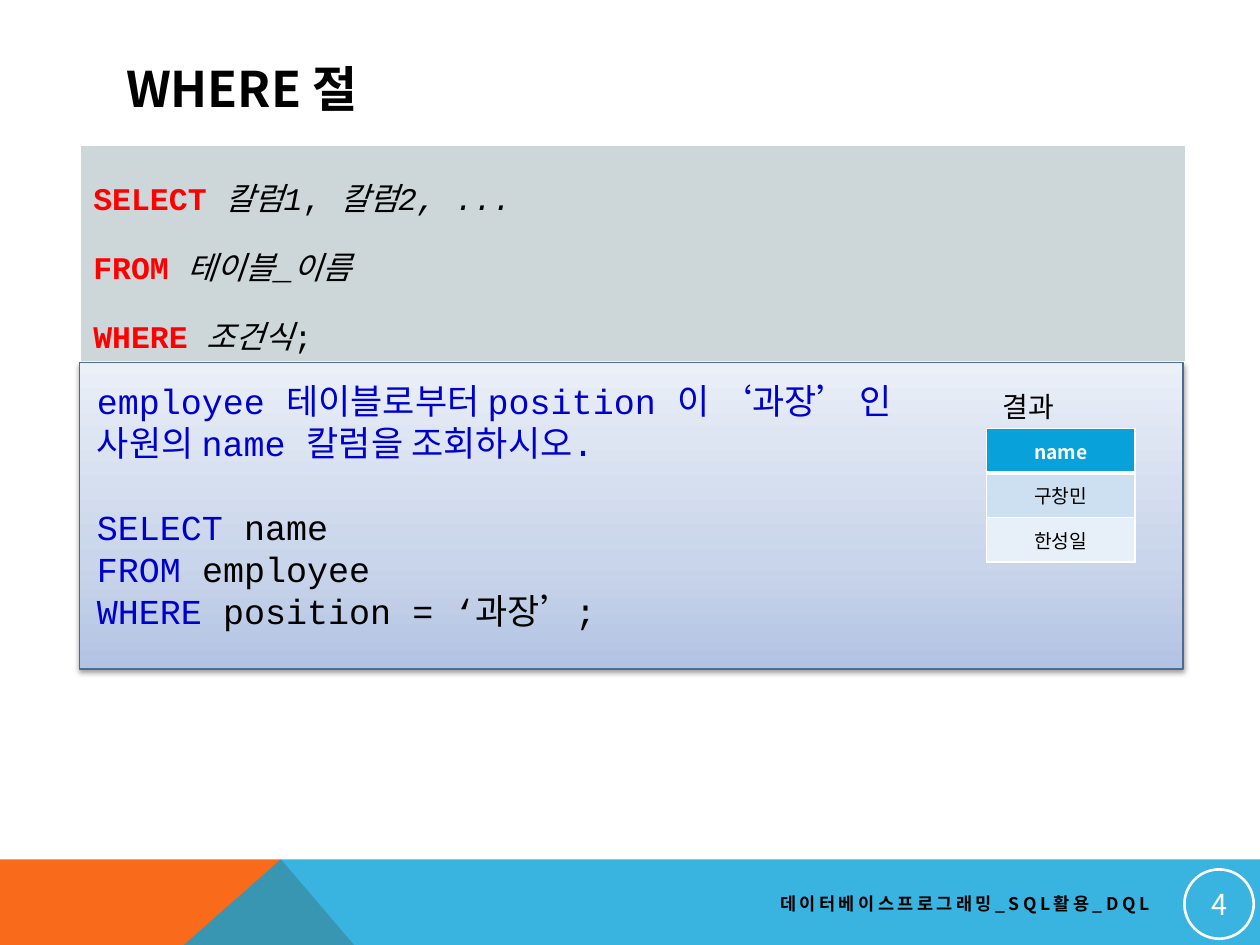
"""Build the slide that explains the SQL WHERE clause."""
import copy
import dataclasses

import lxml.etree
import pptx
import pptx.dml.color
import pptx.enum.shapes
import pptx.enum.text
import pptx.oxml.ns
import pptx.util

Inches = pptx.util.Inches
Pt = pptx.util.Pt
Align = pptx.enum.text.PP_ALIGN
Anchor = pptx.enum.text.MSO_ANCHOR


@dataclasses.dataclass(frozen=True)
class Theme:
    sans: str = "Noto Sans CJK KR"
    mono: str = "Courier New"
    black: str = "000000"
    white: str = "FFFFFF"
    keyword: str = "FF0000"
    query: str = "0000CD"
    orange: str = "F96A1B"
    blue: str = "08A1D9"
    syntax_fill: str = "CDD7D9"
    row_fills: tuple = ("08A1D9", "CCE0F1", "E7F0F8")
    panel_stops: tuple = ((0, "B2C3E3"), (0.35, "C9D5EA"), (1, "EAEFF8"))
    panel_line: str = "4D6B92"
    title_size: float = 28
    query_size: float = 20
    syntax_size: float = 18
    number_size: float = 16.5
    label_size: float = 16
    cell_size: float = 11
    footer_size: float = 10


THEME = Theme()


def rgb(value):
    return pptx.dml.color.RGBColor.from_string(value)


def add_xml(parent, tag, **attributes):
    values = {name: str(value) for name, value in attributes.items()}
    return lxml.etree.SubElement(parent, pptx.oxml.ns.qn(tag), values)


def write(para, text, size, color=THEME.black, font=THEME.sans,
          bold=False, italic=False, spacing=0):
    span = para.add_run()
    span.text = text
    span.font.size = Pt(size)
    span.font.name = font
    span.font.bold = bold
    span.font.italic = italic
    span.font.color.rgb = rgb(color)
    properties = span.font._element
    add_xml(properties, "a:ea", typeface=THEME.sans)
    if spacing:
        properties.set("spc", str(spacing * 100))


def add_text(page, place, wrap=True, anchor=Anchor.TOP):
    box = page.shapes.add_textbox(*map(Inches, place))
    box.text_frame.word_wrap = wrap
    box.text_frame.vertical_anchor = anchor
    return box.text_frame


def paragraphs(frame, count):
    return [frame.paragraphs[0]] + [frame.add_paragraph() for _ in range(count - 1)]


def add_band(page, points, color, alpha=100):
    start, *others = [(Inches(x), Inches(y)) for x, y in points]
    builder = page.shapes.build_freeform(*start)
    builder.add_line_segments(others, close=True)
    band = builder.convert_to_shape()
    band.shadow.inherit = False
    band.line.fill.background()
    band.fill.solid()
    band.fill.fore_color.rgb = rgb(color)
    if alpha < 100:
        fill_color = band._element.spPr.find(".//" + pptx.oxml.ns.qn("a:srgbClr"))
        add_xml(fill_color, "a:alpha", val=alpha * 1000)


def add_table(page, place, row_count):
    table = page.shapes.add_table(row_count, 1, *map(Inches, place)).table
    table.first_row = table.horz_banding = False
    return table


def format_cell(cell, fill, bottom=1):
    properties = cell._tc.get_or_add_tcPr()
    for side, width in (("L", 1), ("R", 1), ("T", 1), ("B", bottom)):
        line = add_xml(properties, "a:ln" + side, w=Pt(width))
        add_xml(add_xml(line, "a:solidFill"), "a:srgbClr", val=THEME.white)
    cell.fill.solid()
    cell.fill.fore_color.rgb = rgb(fill)


def add_title(page):
    title = page.shapes.title
    title.left, title.top, title.width, title.height = map(Inches, (0.9, 0.4, 8.22, 0.6))
    title.text_frame.vertical_anchor = Anchor.MIDDLE
    para = title.text_frame.paragraphs[0]
    para.alignment = Align.LEFT
    write(para, "WHERE 절", THEME.title_size, bold=True)


def add_footer(page):
    top, bottom, peak = 6.82, 7.5, 2.23
    add_band(page, [(0, bottom), (0, top), (peak, top), (2.81, bottom)], THEME.orange)
    add_band(page, [(1.46, bottom), (peak, top), (10, top), (10, bottom)], THEME.blue, 80)

    frame = add_text(page, (3.58, 7.02, 5.64, 0.3), anchor=Anchor.MIDDLE)
    frame.paragraphs[0].alignment = Align.RIGHT
    write(frame.paragraphs[0], "데이터베이스프로그래밍_SQL활용_DQL",
          THEME.footer_size, bold=True, spacing=2)

    badge = page.shapes.add_shape(pptx.enum.shapes.MSO_SHAPE.OVAL,
                                  *map(Inches, (9.4, 6.9, 0.55, 0.55)))
    badge.shadow.inherit = False
    badge.fill.background()
    badge.line.color.rgb = rgb(THEME.white)
    badge.line.width = Pt(1.5)
    frame = badge.text_frame
    frame.margin_left = frame.margin_right = Inches(0.01)
    frame.margin_top = frame.margin_bottom = Inches(0.01)
    frame.vertical_anchor = Anchor.MIDDLE
    frame.paragraphs[0].alignment = Align.CENTER
    write(frame.paragraphs[0], "4", THEME.number_size, THEME.white)


def add_syntax(page):
    cell = add_table(page, (0.64, 1.15, 8.77, 1.73), 1).cell(0, 0)
    format_cell(cell, THEME.syntax_fill, bottom=3)
    clauses = [
        ("SELECT ", [("칼럼1", True), (",\u00a0", False), ("칼럼2, ...", True)]),
        ("FROM ", [("테이블_이름", True)]),
        ("WHERE ", [("조건식", True), (";", False)]),
    ]
    style = {"size": THEME.syntax_size, "font": THEME.mono}
    for para, (keyword, parts) in zip(paragraphs(cell.text_frame, len(clauses)), clauses):
        para.line_spacing = 1.5
        write(para, keyword, color=THEME.keyword, bold=True, **style)
        for text, italic in parts:
            write(para, text, italic=italic, **style)


def add_panel(page):
    panel = page.shapes.add_shape(pptx.enum.shapes.MSO_SHAPE.RECTANGLE,
                                  *map(Inches, (0.63, 2.88, 8.76, 2.43)))
    panel.line.color.rgb = rgb(THEME.panel_line)
    panel.line.width = Pt(0.75)
    panel.fill.gradient()
    panel.fill.gradient_angle = 90
    stop_list = panel._element.spPr.find(".//" + pptx.oxml.ns.qn("a:gsLst"))
    stop_list.append(copy.deepcopy(stop_list[-1]))
    for stop, (position, color) in zip(panel.fill.gradient_stops, THEME.panel_stops):
        stop.position = position
        stop.color.rgb = rgb(color)
    panel.shadow.inherit = False
    effects = panel._element.spPr.find(pptx.oxml.ns.qn("a:effectLst"))
    shadow = add_xml(effects, "a:outerShdw", blurRad=Pt(3.1), dist=Pt(1.6),
                     dir=90 * 60000, rotWithShape=0)
    add_xml(add_xml(shadow, "a:srgbClr", val=THEME.black), "a:alpha", val=38000)


def add_query(page):
    frame = add_text(page, (0.67, 2.96, 6.92, 2.12))
    lines = [
        ("employee 테이블로부터 position 이 ‘과장’ 인 사원의 name 칼럼을 조회하시오.", ""),
        ("SELECT", "\u00a0name"),
        ("FROM", " employee"),
        ("WHERE", " position = ‘과장’;"),
    ]
    style = {"size": THEME.query_size, "font": THEME.mono}
    paras = paragraphs(frame, len(lines))
    for para, (lead, rest) in zip(paras, lines):
        para.line_spacing = Pt(24)
        write(para, lead, color=THEME.query, **style)
        if rest:
            write(para, rest, **style)
    paras[0].space_after = Pt(24)


def add_result(page):
    frame = add_text(page, (7.86, 3.04, 0.73, 0.37), wrap=False)
    write(frame.paragraphs[0], "결과", THEME.label_size)
    names = ("name", "구창민", "한성일")
    table = add_table(page, (7.83, 3.4, 1.18, 1.06), len(names))
    for row, (name, fill) in enumerate(zip(names, THEME.row_fills)):
        header = row == 0
        cell = table.cell(row, 0)
        format_cell(cell, fill, bottom=3 if header else 1)
        cell.vertical_anchor = Anchor.MIDDLE
        para = cell.text_frame.paragraphs[0]
        para.alignment = Align.CENTER
        write(para, name, THEME.cell_size,
              THEME.white if header else THEME.black, bold=header)


def main():
    deck = pptx.Presentation()
    deck.slide_width, deck.slide_height = Inches(10), Inches(7.5)
    page = deck.slides.add_slide(deck.slide_layouts[5])
    add_title(page)
    add_footer(page)
    add_syntax(page)
    add_panel(page)
    add_query(page)
    add_result(page)
    deck.save("out.pptx")


main()
